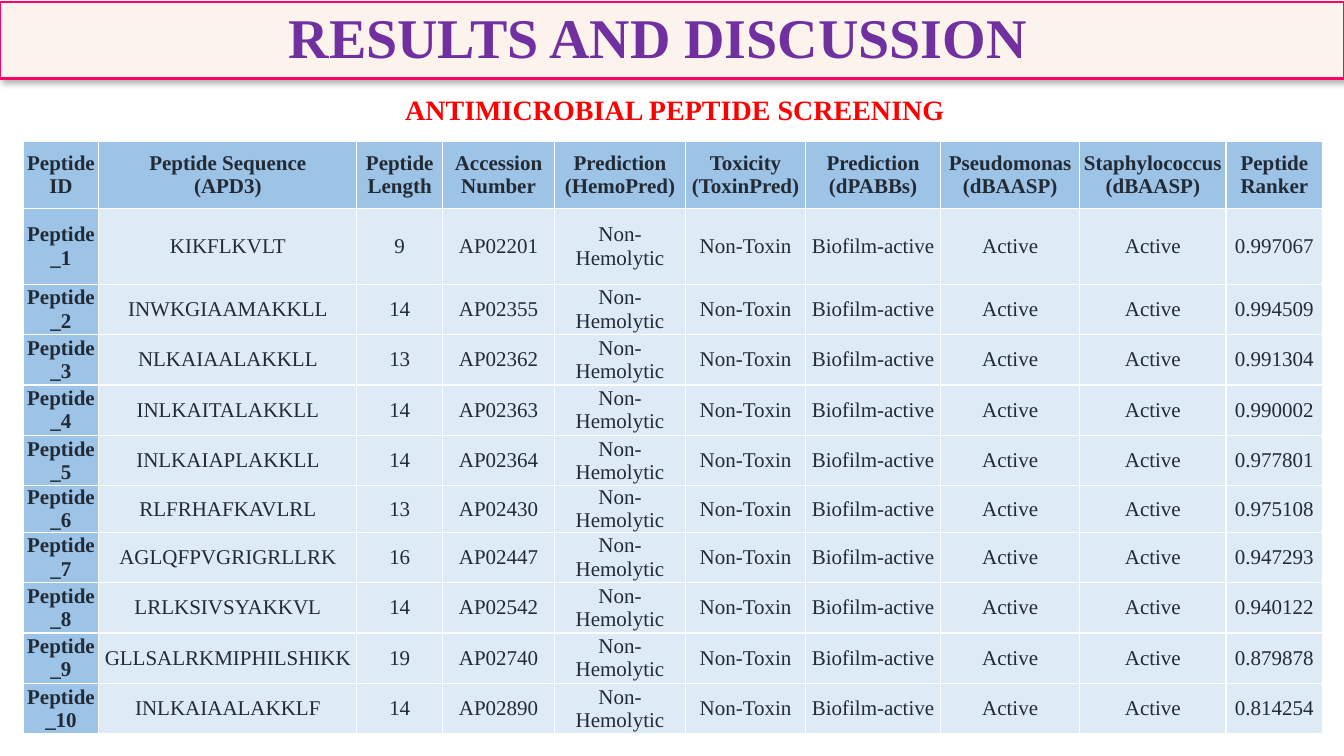
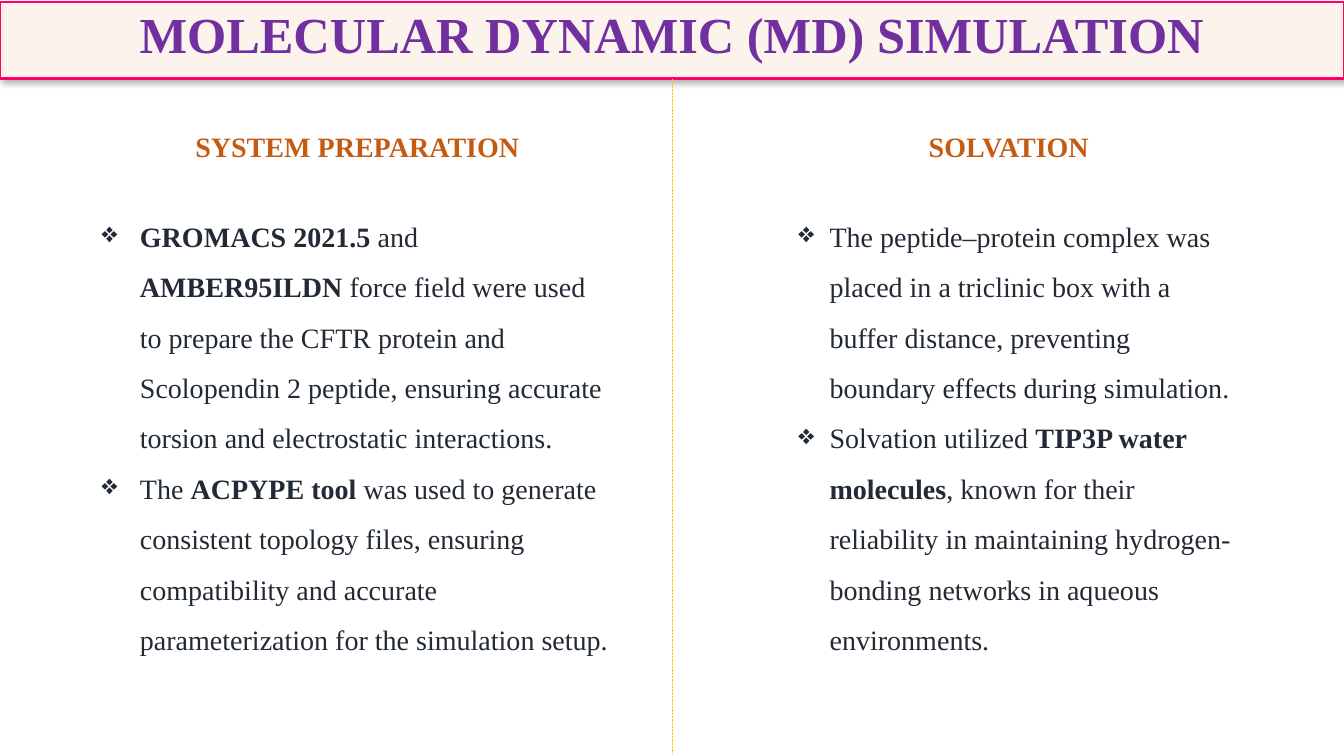
from dataclasses import dataclass

from lxml import etree
from pptx import Presentation
from pptx.dml.color import RGBColor
from pptx.enum.dml import MSO_LINE
from pptx.enum.shapes import MSO_CONNECTOR, MSO_SHAPE
from pptx.enum.text import MSO_ANCHOR, MSO_AUTO_SIZE, PP_ALIGN
from pptx.oxml.ns import qn
from pptx.util import Pt

EMU_PER_PX = 9144  # 100 px to the inch
SLIDE_WIDTH, SLIDE_HEIGHT = 1333, 750
BLANK_LAYOUT = 6
CENTER, LEFT = PP_ALIGN.CENTER, PP_ALIGN.LEFT
MIDDLE = MSO_ANCHOR.MIDDLE
FIT_SHAPE = MSO_AUTO_SIZE.SHAPE_TO_FIT_TEXT
RECTANGLE = MSO_SHAPE.RECTANGLE
STRAIGHT = MSO_CONNECTOR.STRAIGHT
DOTTED = MSO_LINE.ROUND_DOT


@dataclass(frozen=True)
class Theme:
    font: str = "Times New Roman"
    band_fill: str = "FDF3ED"
    band_line: str = "FF0066"
    shadow: str = "000000"
    title: str = "7030A0"
    subtitle: str = "FF0000"
    heading: str = "C55A11"
    body: str = "222A35"
    divider: str = "FFC000"
    label_fill: str = "9DC3E6"
    value_fill: str = "DEEBF7"
    grid: str = "FFFFFF"
    body_size: int = 20
    table_size: int = 15


THEME = Theme()

COLUMN_WIDTHS = [75, 256, 85, 111, 130, 119, 134, 138, 145, 96]
ROW_HEIGHTS = [67, 75, 50, 50, 50, 50, 45, 50, 50, 50, 50]
TABLE_HEADER = [
    "Peptide ID", "Peptide Sequence\n(APD3)", "Peptide Length",
    "Accession Number", "Prediction\n(HemoPred)", "Toxicity\n(ToxinPred)",
    "Prediction (dPABBs)", "Pseudomonas\n(dBAASP)",
    "Staphylococcus\n(dBAASP)", "Peptide Ranker",
]
SHARED_RESULTS = ["Non-Hemolytic", "Non-Toxin", "Biofilm-active", "Active", "Active"]
PEPTIDES = [  # sequence, length, accession number, rank
    ("KIKFLKVLT", "9", "AP02201", "0.997067"),
    ("INWKGIAAMAKKLL", "14", "AP02355", "0.994509"),
    ("NLKAIAALAKKLL", "13", "AP02362", "0.991304"),
    ("INLKAITALAKKLL", "14", "AP02363", "0.990002"),
    ("INLKAIAPLAKKLL", "14", "AP02364", "0.977801"),
    ("RLFRHAFKAVLRL", "13", "AP02430", "0.975108"),
    ("AGLQFPVGRIGRLLRK", "16", "AP02447", "0.947293"),
    ("LRLKSIVSYAKKVL", "14", "AP02542", "0.940122"),
    ("GLLSALRKMIPHILSHIKK", "19", "AP02740", "0.879878"),
    ("INLKAIAALAKKLF", "14", "AP02890", "0.814254"),
]

# Each bullet is a list of (text, bold) runs.
PREPARATION_BULLETS = [
    [("GROMACS 2021.5 ", True), ("and ", False), ("AMBER95ILDN", True),
     (" force field were used to prepare the CFTR protein and Scolopendin 2 "
      "peptide, ensuring accurate torsion and electrostatic interactions.", False)],
    [("The ", False), ("ACPYPE tool ", True),
     ("was used to generate consistent topology files, ensuring compatibility "
      "and accurate parameterization for the simulation setup.", False)],
]
SOLVATION_BULLETS = [
    [("The peptide–protein complex was placed in a triclinic box with a buffer "
      "distance, preventing boundary effects during simulation.", False)],
    [("Solvation utilized ", False), ("TIP3P water molecules", True),
     (", known for their reliability in maintaining hydrogen-bonding networks "
      "in aqueous environments.", False)],
]


def px(length):
    return length * EMU_PER_PX


def rgb(color):
    return RGBColor.from_string(color)


def add_run(paragraph, text, size, color, bold):
    run = paragraph.add_run()
    run.text = text
    font = run.font
    font.name, font.size, font.bold = THEME.font, Pt(size), bold
    font.color.rgb = rgb(color)


def get_paragraph(frame, index):
    return frame.paragraphs[0] if index == 0 else frame.add_paragraph()


def add_band_shadow(shape):
    effects = shape._element.spPr.find(qn("a:effectLst"))
    shadow = etree.SubElement(
        effects, qn("a:outerShdw"), blurRad=str(Pt(4.5)), dist=str(Pt(2.6)),
        dir=str(53 * 60000), algn="tl", rotWithShape="0")
    color = etree.SubElement(shadow, qn("a:srgbClr"), val=THEME.shadow)
    etree.SubElement(color, qn("a:alpha"), val="30000")


def add_title_band(slide, text, size, right_inset=10, bottom_inset=5):
    """Draw the full-width title; the insets shift its optical centre."""
    band = slide.shapes.add_shape(RECTANGLE, 0, px(2), px(SLIDE_WIDTH), px(76))
    band.shadow.inherit = False
    add_band_shadow(band)
    band.fill.solid()
    band.fill.fore_color.rgb = rgb(THEME.band_fill)
    band.line.color.rgb = rgb(THEME.band_line)
    band.line.width = Pt(1.5)
    frame = band.text_frame
    frame.word_wrap = True
    frame.vertical_anchor = MIDDLE
    frame.margin_right, frame.margin_bottom = px(right_inset), px(bottom_inset)
    paragraph = frame.paragraphs[0]
    paragraph.alignment, paragraph.line_spacing = CENTER, 0.9
    add_run(paragraph, text, size, THEME.title, True)


def add_text_frame(slide, left, top, width, height):
    box = slide.shapes.add_textbox(px(left), px(top), px(width), px(height))
    frame = box.text_frame
    frame.word_wrap = True
    frame.auto_size = FIT_SHAPE
    return frame


def add_heading(slide, text, left, top, width, color, alignment=CENTER):
    paragraph = add_text_frame(slide, left, top, width, 44).paragraphs[0]
    paragraph.alignment = alignment
    add_run(paragraph, text, THEME.body_size, color, True)


def add_bullets(slide, bullets, left, width, indent):
    frame = add_text_frame(slide, left, 196, width, 458)
    for index, runs in enumerate(bullets):
        paragraph = get_paragraph(frame, index)
        properties = paragraph._p.get_or_add_pPr()
        properties.set("marL", str(px(indent)))
        properties.set("indent", str(-px(indent)))
        etree.SubElement(properties, qn("a:buChar"), char="❖")
        paragraph.line_spacing = 1.5
        for text, bold in runs:
            add_run(paragraph, text, THEME.body_size, THEME.body, bold)


def add_divider(slide, x, top, bottom):
    line = slide.shapes.add_connector(STRAIGHT, px(x), px(top), px(x), px(bottom))
    line.line.color.rgb = rgb(THEME.divider)
    line.line.width = Pt(0.5)
    line.line.dash_style = DOTTED
    etree.SubElement(line._element.spPr, qn("a:effectLst"))


def set_cell_borders(cell):
    properties = cell._tc.get_or_add_tcPr()
    for side in ("a:lnL", "a:lnR", "a:lnT", "a:lnB"):
        border = etree.SubElement(properties, qn(side), w=str(Pt(1)))
        fill = etree.SubElement(border, qn("a:solidFill"))
        etree.SubElement(fill, qn("a:srgbClr"), val=THEME.grid)


def fill_cell(cell, text, is_label):
    set_cell_borders(cell)
    cell.fill.solid()
    cell.fill.fore_color.rgb = rgb(THEME.label_fill if is_label else THEME.value_fill)
    cell.vertical_anchor = MIDDLE
    cell.margin_left = cell.margin_right = cell.margin_top = cell.margin_bottom = 0
    for index, line in enumerate(text.split("\n")):
        paragraph = get_paragraph(cell.text_frame, index)
        paragraph.alignment = CENTER
        add_run(paragraph, line, THEME.table_size, THEME.body, is_label)


def add_peptide_table(slide, left, top):
    rows = [TABLE_HEADER]
    for number, (sequence, length, accession, rank) in enumerate(PEPTIDES, 1):
        rows.append([f"Peptide_{number}", sequence, length, accession,
                     *SHARED_RESULTS, rank])
    table = slide.shapes.add_table(
        len(rows), len(COLUMN_WIDTHS), px(left), px(top),
        px(sum(COLUMN_WIDTHS)), px(sum(ROW_HEIGHTS))).table
    table.horz_banding = False
    for column, width in zip(table.columns, COLUMN_WIDTHS):
        column.width = px(width)
    for row, height in zip(table.rows, ROW_HEIGHTS):
        row.height = px(height)
    for row_index, values in enumerate(rows):
        for column_index, text in enumerate(values):
            is_label = row_index == 0 or column_index == 0
            fill_cell(table.cell(row_index, column_index), text, is_label)


def add_blank_slide(presentation):
    return presentation.slides.add_slide(presentation.slide_layouts[BLANK_LAYOUT])


def build_screening_slide(presentation):
    slide = add_blank_slide(presentation)
    add_title_band(slide, "RESULTS AND DISCUSSION", 40, right_inset=38)
    add_peptide_table(slide, 23, 140)
    add_heading(slide, "ANTIMICROBIAL PEPTIDE SCREENING", 392, 87, 583,
                THEME.subtitle, LEFT)


def build_simulation_slide(presentation):
    slide = add_blank_slide(presentation)
    add_title_band(slide, "MOLECULAR DYNAMIC (MD) SIMULATION", 36, bottom_inset=12)
    add_divider(slide, 667, 78, 748)
    add_heading(slide, "SYSTEM PREPARATION", 176, 124, 357, THEME.heading)
    add_bullets(slide, PREPARATION_BULLETS, 91, 526, 38)
    add_heading(slide, "SOLVATION", 822, 124, 357, THEME.heading)
    add_bullets(slide, SOLVATION_BULLETS, 782, 460, 31)


def main():
    presentation = Presentation()
    presentation.slide_width = px(SLIDE_WIDTH)
    presentation.slide_height = px(SLIDE_HEIGHT)
    build_screening_slide(presentation)
    build_simulation_slide(presentation)
    presentation.save("out.pptx")


if __name__ == "__main__":
    main()
